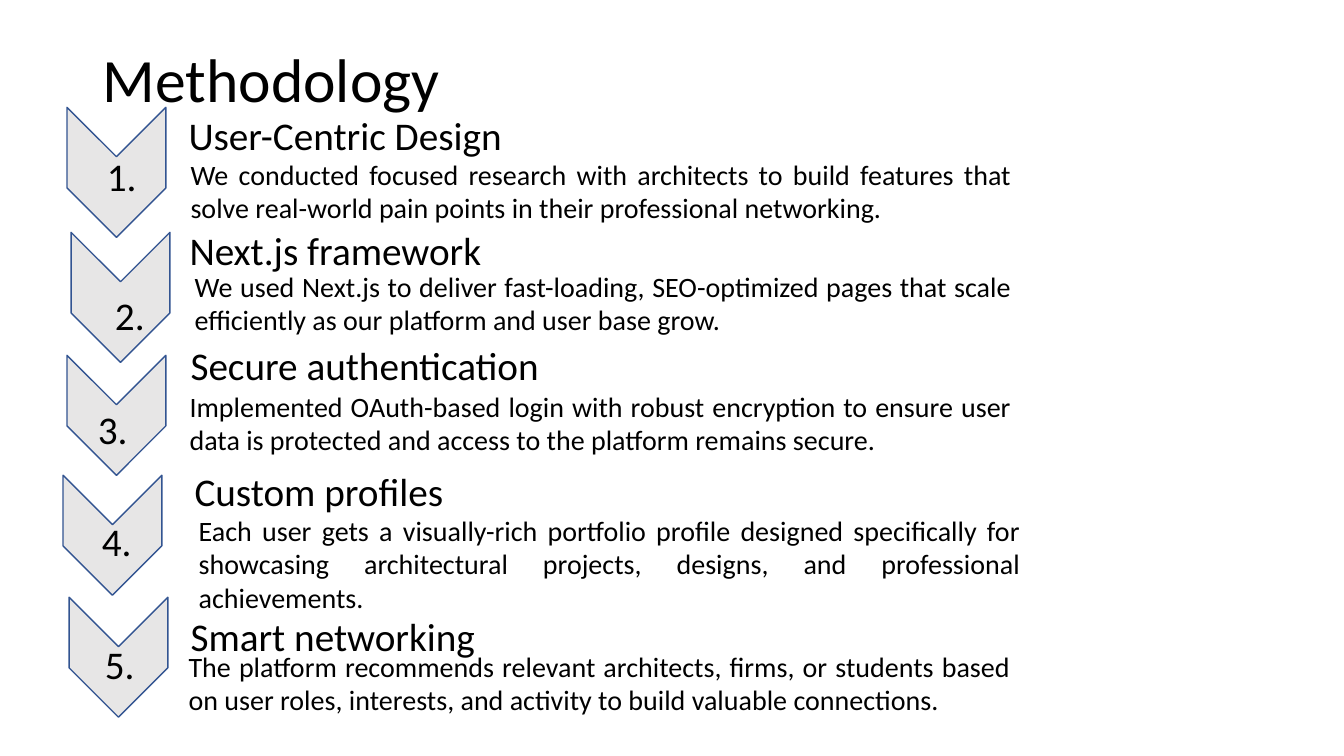
"""Build the Methodology slide: five numbered chevrons, each with a heading and a note."""
from pptx import Presentation
from pptx import util as u
from pptx.dml.color import RGBColor
from pptx.enum import shapes, text

PX = 9144
BLACK = RGBColor(0x00, 0x00, 0x00)
GREY = RGBColor(0xE7, 0xE6, 0xE6)
BLUE = RGBColor(0x32, 0x54, 0x91)
FONT = "Calibri"

TITLE = ("Methodology", (92, 17, 426, 129))
STEPS = [
    {"head": "User-Centric Design",
     "note": "We conducted focused research with architects to build features that "
             "solve real-world pain points in their professional networking.",
     "arrow": (51, 122, 129), "num": (106, 160),
     "top": (187, 119), "body": (189, 156, 814, 79)},
    {"head": "Next.js framework",
     "note": "We used Next.js to deliver fast-loading, SEO-optimized pages that scale "
             "efficiently as our platform and user base grow.",
     "arrow": (55, 246, 129), "num": (114, 297),
     "top": (188, 233), "body": (193, 267, 810, 79)},
    {"head": "Secure authentication",
     "note": "Implemented OAuth-based login with robust encryption to ensure user "
             "data is protected and access to the platform remains secure.",
     "arrow": (56, 363, 119), "num": (97, 411),
     "top": (189, 347), "body": (188, 386, 815, 75)},
    {"head": "Custom profiles",
     "note": "Each user gets a visually-rich portfolio profile designed specifically for "
             "showcasing architectural projects, designs, and professional achievements.",
     "arrow": (52, 482, 119), "num": (101, 522),
     "top": (193, 472), "body": (197, 509, 815, 75)},
    {"head": "Smart networking",
     "note": "The platform recommends relevant architects, firms, or students based "
             "on user roles, interests, and activity to build valuable connections.",
     "arrow": (58, 603, 119), "num": (104, 644),
     "top": (189, 616), "body": (187, 644, 815, 75)},
]
HEAD = (474, 44)
NUM = (42, 32)
DEEP = 98


def scale(box):
    return [n * PX for n in box]


def write(slide, words, box, size, pad=0, wrap=True, space=None, align=None):
    frame = slide.shapes.add_textbox(*scale(box)).text_frame
    frame.word_wrap = wrap
    if pad == 0:
        frame.margin_left = frame.margin_right = 0
        frame.margin_top = frame.margin_bottom = 0
    frame.text = words
    para = frame.paragraphs[0]
    para.alignment = align
    para.line_spacing = space
    font = para.runs[0].font
    font.name, font.size = FONT, u.Pt(size)
    font.color.rgb = BLACK
    return frame


def chevron(slide, left, top, wide):
    arrow = slide.shapes.add_shape(
        shapes.MSO_SHAPE.CHEVRON, *scale((left, top, wide, DEEP)))
    arrow.rotation = 90
    arrow.shadow.inherit = False
    arrow.fill.solid()
    arrow.fill.fore_color.rgb = GREY
    arrow.line.color.rgb = BLUE
    arrow.line.width = u.Pt(1)


def main():
    deck = Presentation()
    deck.slide_width, deck.slide_height = scale((1333, 750))
    slide = deck.slides.add_slide(deck.slide_layouts[6])

    title = write(slide, *TITLE, 44, pad=10, space=0.9)
    title.vertical_anchor = text.MSO_ANCHOR.MIDDLE

    for count, step in enumerate(STEPS, 1):
        chevron(slide, *step["arrow"])
        labels = [(f"{count}.", step["num"] + NUM), (step["head"], step["top"] + HEAD)]
        for words, box in labels:
            write(slide, words, box, 28, wrap=False, space=u.Pt(27.5))
        write(slide, step["note"], step["body"], 20, align=text.PP_ALIGN.JUSTIFY)

    deck.save("out.pptx")


if __name__ == "__main__":
    main()
